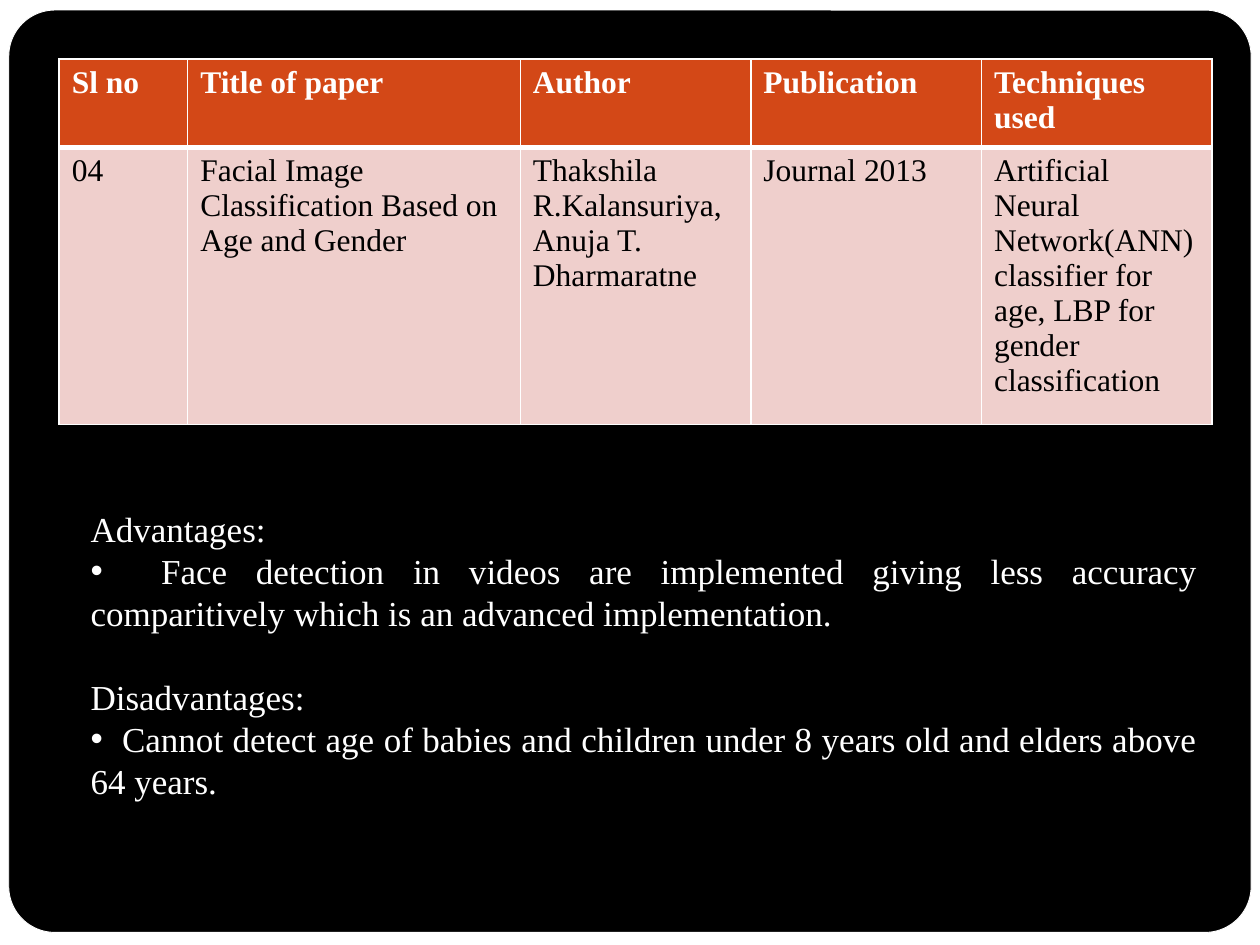
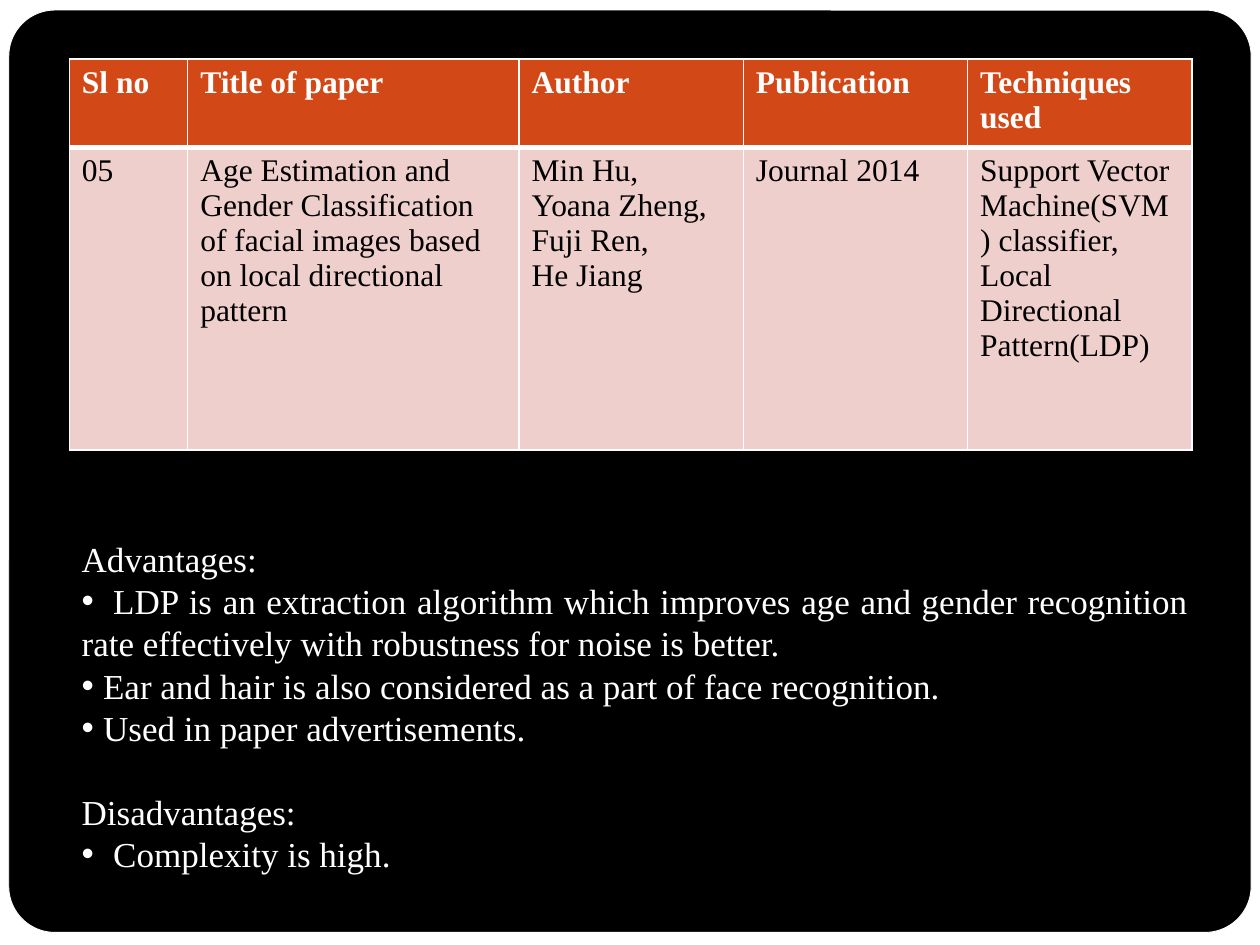
from lxml import etree
from pptx import Presentation
from pptx.dml.color import RGBColor
from pptx.enum.shapes import MSO_SHAPE
from pptx.enum.text import MSO_AUTO_SIZE, PP_ALIGN
from pptx.oxml.ns import qn
from pptx.util import Inches, Pt

RECT, ROUNDED = MSO_SHAPE.RECTANGLE, MSO_SHAPE.ROUNDED_RECTANGLE
JUSTIFY, GROW = PP_ALIGN.JUSTIFY, MSO_AUTO_SIZE.SHAPE_TO_FIT_TEXT

WHITE = RGBColor(0xFF, 0xFF, 0xFF)
BLACK = RGBColor(0, 0, 0)
ORANGE = RGBColor(0xD3, 0x48, 0x17)
PINK = RGBColor(0xEF, 0xCF, 0xCC)
FONT = "Times New Roman"

# Content: each bullet is (distance from bullet to text in inches, text)
HEADINGS = ["Sl no", "Title of paper", "Author", "Publication", "Techniques used"]
PAPERS = [
    {
        "row": [
            "04",
            "Facial Image Classification Based on Age and Gender",
            "Thakshila R.Kalansuriya, Anuja T. Dharmaratne",
            "Journal 2013",
            "Artificial Neural Network(ANN) classifier for age, LBP for gender classification",
        ],
        "table_at": (0.47, 0.47),
        "columns": [1.02, 2.64, 1.83, 1.83, 1.83],
        "row_height": 2.2,
        "review_at": (0.62, 3.98, 8.98, 2.46),
        "review": {
            "Advantages:": [
                (0.56, "Face detection in videos are implemented giving less accuracy "
                       "comparitively which is an advanced implementation."),
            ],
            "Disadvantages:": [
                (0.25, "Cannot detect age of babies and children under 8 years old "
                       "and elders above 64 years."),
            ],
        },
    },
    {
        "row": [
            "05",
            "Age Estimation and Gender Classification\n"
            "of facial images based on local directional pattern",
            "Min Hu,\nYoana Zheng,\nFuji Ren,\nHe Jiang",
            "Journal 2014",
            "Support Vector Machine(SVM) classifier,\nLocal Directional Pattern(LDP)",
        ],
        "table_at": (0.55, 0.47),
        "columns": [0.94, 2.63, 1.78, 1.78, 1.78],
        "row_height": 2.4,
        "review_at": (0.55, 4.22, 8.98, 2.79),
        "review": {
            "Advantages:": [
                (0.25, "LDP is an extraction algorithm which improves age and gender "
                       "recognition rate effectively with robustness for noise is better."),
                (0.17, "Ear and hair is also considered as a part of face recognition."),
                (0.17, "Used in paper advertisements."),
            ],
            "Disadvantages:": [(0.25, "Complexity is high.")],
        },
    },
]
HEADER_HEIGHT = 0.7
SECTION_GAP = Pt(24)


def set_font(p, size, color, bold=False):
    p.font.name, p.font.size, p.font.bold = FONT, Pt(size), bold
    p.font.color.rgb = color


def add_panel(s, kind, box, fill, outlined):
    sp = s.shapes.add_shape(kind, *map(Inches, box))
    sp.shadow.inherit = False
    sp.fill.solid()
    sp.fill.fore_color.rgb = fill
    if outlined:
        sp.line.color.rgb, sp.line.width = WHITE, Pt(0.5)
    else:
        sp.line.fill.background()
    return sp


def add_frame(s):
    s.background.fill.solid()
    s.background.fill.fore_color.rgb = BLACK
    add_panel(s, RECT, (0, 0, 10, 7.5), WHITE, False)
    add_panel(s, ROUNDED, (0.07, 0.08, 9.86, 7.32), BLACK, True).adjustments[0] = 0.05


def set_borders(cell, widths):
    tc_pr = cell._tc.get_or_add_tcPr()
    for side, width in zip("LRTB", widths):
        ln = etree.SubElement(tc_pr, qn("a:ln" + side), w=str(Pt(width)))
        fill = etree.SubElement(ln, qn("a:solidFill"))
        etree.SubElement(fill, qn("a:srgbClr"), val=str(WHITE))


def add_paper_table(s, paper):
    heights = [HEADER_HEIGHT, paper["row_height"]]
    columns = paper["columns"]
    box = (*paper["table_at"], sum(columns), sum(heights))
    table = s.shapes.add_table(2, len(columns), *map(Inches, box)).table
    for column, width in zip(table.columns, columns):
        column.width = Inches(width)
    # A thick rule divides the header from the body
    styles = [(HEADINGS, ORANGE, WHITE, True, (1, 1, 1, 3)),
              (paper["row"], PINK, BLACK, False, (1, 1, 3, 1))]
    for r, (texts, fill, color, bold, borders) in enumerate(styles):
        table.rows[r].height = Inches(heights[r])
        for c, text in enumerate(texts):
            cell = table.cell(r, c)
            set_borders(cell, borders)
            cell.fill.solid()
            cell.fill.fore_color.rgb = fill
            cell.text = text
            for p in cell.text_frame.paragraphs:
                set_font(p, 18, color, bold)


def set_bullet(p, gap):
    p_pr = p._p.get_or_add_pPr()
    p_pr.set("marL", "0")
    p_pr.set("indent", "0")
    etree.SubElement(p_pr, qn("a:buFont"), typeface="Arial")
    etree.SubElement(p_pr, qn("a:buChar"), char="•")
    tabs = etree.SubElement(p_pr, qn("a:tabLst"))
    etree.SubElement(tabs, qn("a:tab"), pos=str(Inches(gap)), algn="l")


def add_review(s, paper):
    tf = s.shapes.add_textbox(*map(Inches, paper["review_at"])).text_frame
    tf.word_wrap, tf.auto_size = True, GROW

    def add_line(text, first=False):
        p = tf.paragraphs[0] if first else tf.add_paragraph()
        p.text, p.alignment = text, JUSTIFY
        return p

    for i, (heading, bullets) in enumerate(paper["review"].items()):
        p = add_line(heading, first=i == 0)
        if i:
            p.space_before = SECTION_GAP
        set_font(p, 20, WHITE)
        for gap, text in bullets:
            p = add_line("\t" + text)
            set_bullet(p, gap)
            set_font(p, 20, WHITE)


def main():
    prs = Presentation()
    prs.slide_width, prs.slide_height = Inches(10), Inches(7.5)
    blank = prs.slide_layouts[6]
    for paper in PAPERS:
        s = prs.slides.add_slide(blank)
        add_frame(s)
        add_paper_table(s, paper)
        add_review(s, paper)
    prs.save("out.pptx")


if __name__ == "__main__":
    main()
